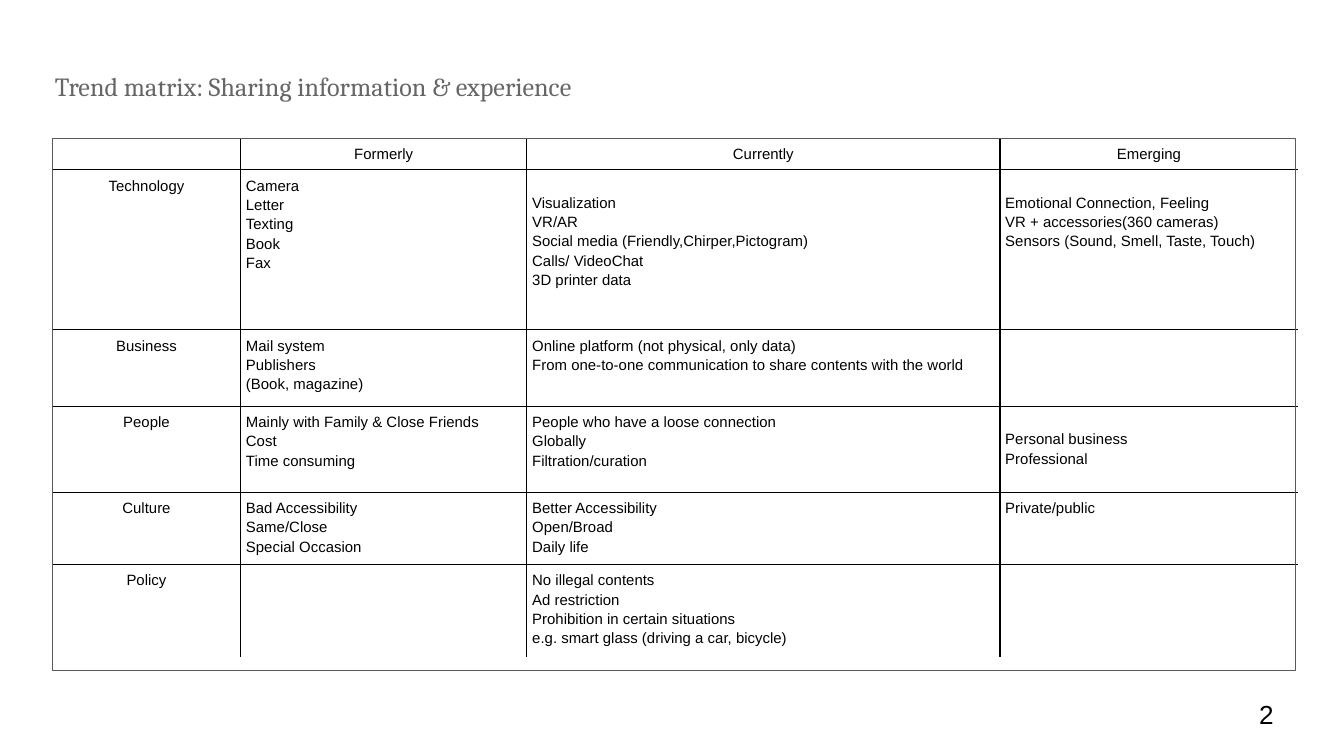
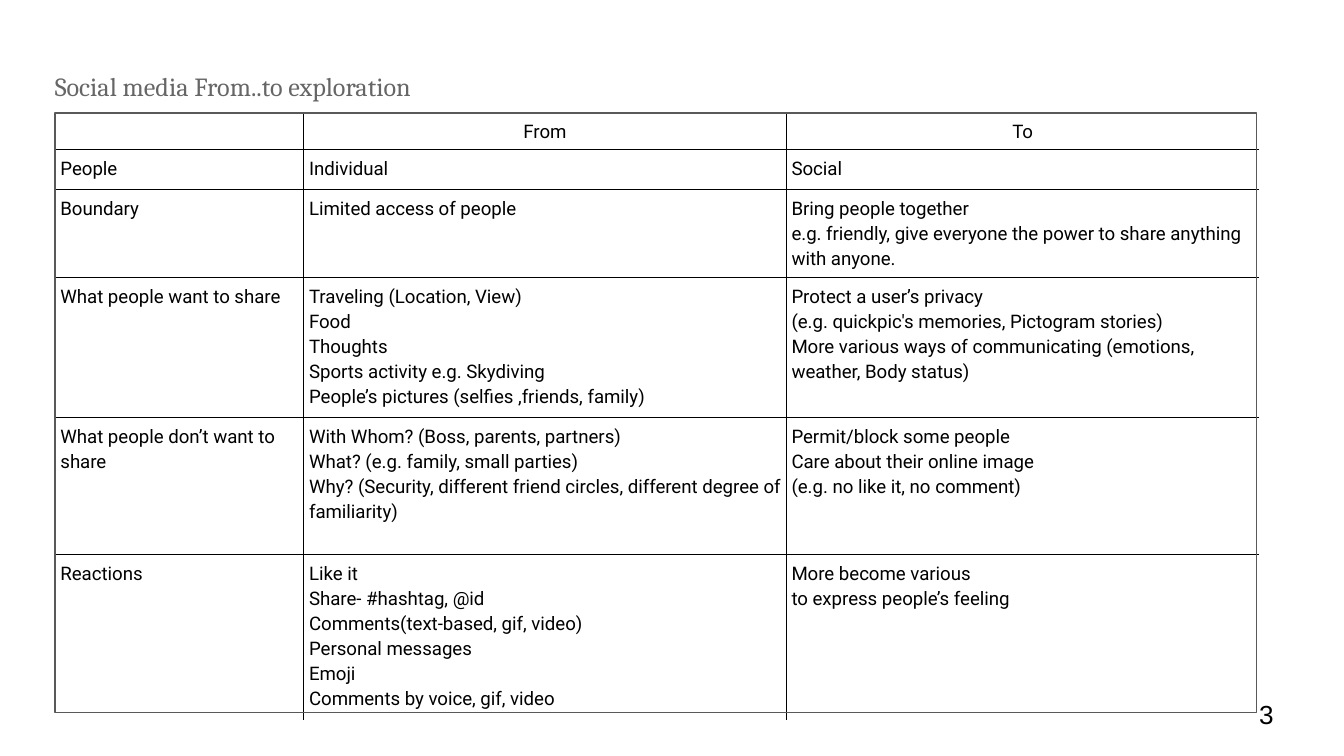
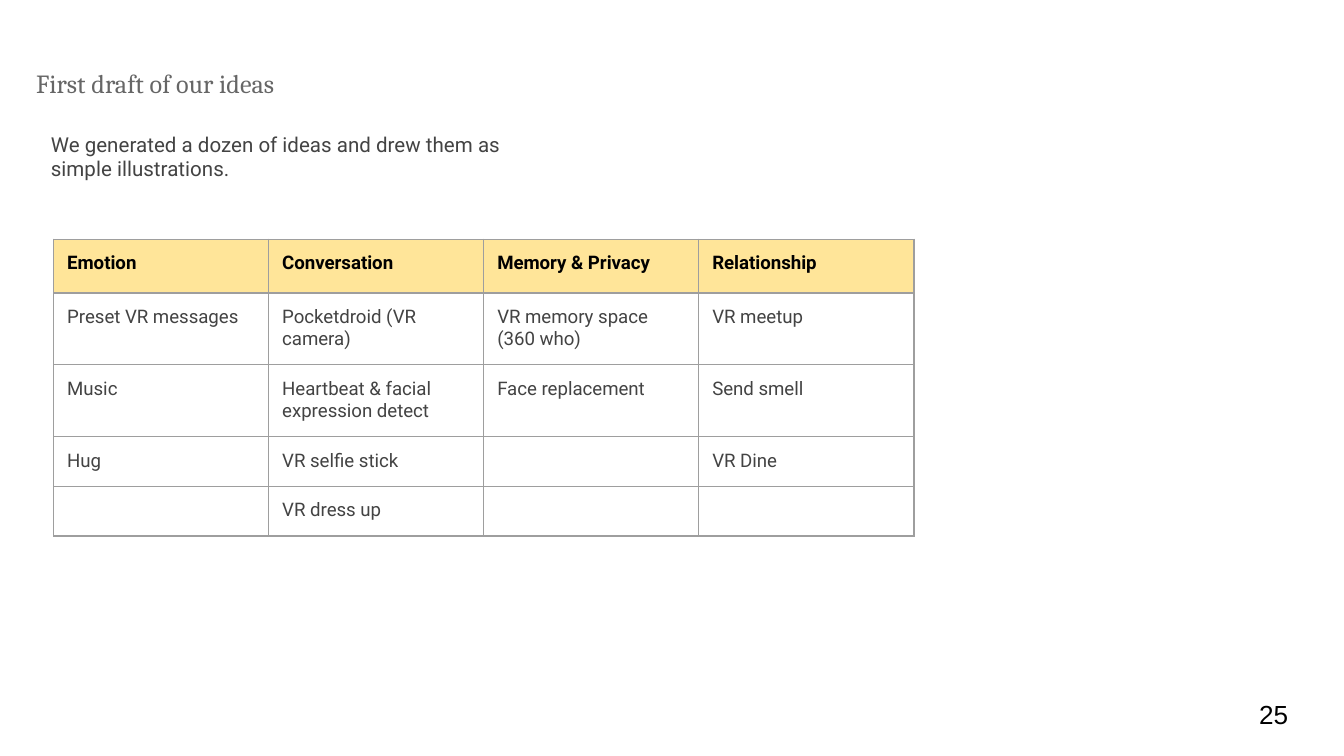
from pptx import Presentation
from pptx import util as u
from pptx.dml.color import RGBColor
from pptx.enum import shapes, text
from pptx.oxml import parse_xml
from pptx.oxml import ns

BLACK = RGBColor(0x00, 0x00, 0x00)
TITLE_GRAY = RGBColor(0x66, 0x66, 0x66)
BODY_GRAY = RGBColor(0x43, 0x43, 0x43)
FRAME_GRAY = RGBColor(0x59, 0x59, 0x59)
GRID_GRAY = RGBColor(0x9E, 0x9E, 0x9E)
HEADER_YELLOW = RGBColor(0xFF, 0xE5, 0x99)

# The grid: 100 columns across a 10-inch slide, rows of the same size
UNIT = u.Inches(0.1)
SLIDE_COLS, SLIDE_ROWS = 100, 56.25
LINE_PT = 0.75


def grid(n):
    return u.Emu(round(n * UNIT))


class Deck:
    """Shared style and the current slide; positions are in grid units."""

    def __init__(self):
        self.prs = Presentation()
        self.prs.slide_width = grid(SLIDE_COLS)
        self.prs.slide_height = grid(SLIDE_ROWS)
        self.s = None

    def slide(self, title, number, title_at=(3.1, 4.2, 62.4, 4.8)):
        self.s = self.prs.slides.add_slide(self.prs.slide_layouts[6])
        self.text(title, title_at, "Cambria", 14, TITLE_GRAY)
        self.text(number, (92.7, 51, 6, 4.3), "Arial", 14, BLACK,
                  anchor=text.MSO_ANCHOR.MIDDLE)

    def run(self, p, words, font, size, color, bold=False):
        r = p.add_run()
        r.text = words
        r.font.name, r.font.size = font, u.Pt(size)
        r.font.color.rgb, r.font.bold = color, bold

    def text(self, words, at, font, size, color, anchor=text.MSO_ANCHOR.TOP):
        tf = self.s.shapes.add_textbox(*map(grid, at)).text_frame
        tf.word_wrap = True
        tf.vertical_anchor = anchor
        tf.margin_left = tf.margin_right = tf.margin_top = tf.margin_bottom = grid(1)
        self.run(tf.paragraphs[0], words, font, size, color)

    def frame(self, at):
        sp = self.s.shapes.add_shape(shapes.MSO_SHAPE.RECTANGLE, *map(grid, at))
        sp.shadow.inherit = False
        sp.fill.background()
        sp.line.color.rgb, sp.line.width = FRAME_GRAY, u.Pt(LINE_PT)

    def border(self, cell, side, color):
        paint = (f'<a:solidFill><a:srgbClr val="{color}"/></a:solidFill>'
                 if color else "<a:noFill/>")
        cell._tc.get_or_add_tcPr().append(parse_xml(
            f'<a:ln{side} {ns.nsdecls("a")} w="{u.Pt(LINE_PT)}">{paint}</a:ln{side}>'))

    def table(self, left, top, widths, heights, rows, font, size, color=BLACK,
              margin=0.4, spacing=1.15, line=BLACK, outline=False,
              header_fill=None, centered_cols=(), header_centered=True, lowered=()):
        """Cells in `lowered` start one text line further down."""
        tbl = self.s.shapes.add_table(
            len(heights), len(widths),
            *map(grid, (left, top, sum(widths), sum(heights)))).table
        tbl.first_row = tbl.horz_banding = False
        for col, w in zip(tbl.columns, widths):
            col.width = grid(w)
        last_row, last_col = len(heights) - 1, len(widths) - 1
        for i, (row, h) in enumerate(zip(tbl.rows, heights)):
            row.height = grid(h)
            for j, cell in enumerate(row.cells):
                edges = {"L": j == 0, "R": j == last_col,
                         "T": i == 0, "B": i == last_row}
                for side, outer in edges.items():
                    self.border(cell, side, line if outline or not outer else None)
                header = header_fill is not None and i == 0
                if header:
                    cell.fill.solid()
                    cell.fill.fore_color.rgb = header_fill
                else:
                    cell.fill.background()
                cell.margin_left = cell.margin_right = cell.margin_bottom = grid(margin)
                cell.margin_top = grid(margin + (1.27 if (i, j) in lowered else 0))
                centered = j in centered_cols or (i == 0 and header_centered)
                tf = cell.text_frame
                for k, words in enumerate(rows[i][j].split("\n")):
                    p = tf.add_paragraph() if k else tf.paragraphs[0]
                    p.line_spacing = spacing
                    if centered:
                        p.alignment = text.PP_ALIGN.CENTER
                    if words:
                        self.run(p, words, font, size, BLACK if header else color, header)
                    else:
                        p._p.get_or_add_endParaRPr().set("sz", str(size * 100))


TRENDS = [
    ["", "Formerly", "Currently", "Emerging"],
    ["Technology",
     "Camera\nLetter\nTexting\nBook\nFax",
     "Visualization\nVR/AR\nSocial media (Friendly,Chirper,Pictogram)\n"
     "Calls/ VideoChat\n3D printer data",
     "Emotional Connection, Feeling\nVR + accessories(360 cameras)\n"
     "Sensors (Sound, Smell, Taste, Touch)"],
    ["Business",
     "Mail system\nPublishers\n(Book, magazine)",
     "Online platform (not physical, only data)\n"
     "From one-to-one communication to share contents with the world",
     ""],
    ["People",
     "Mainly with Family & Close Friends\nCost\nTime consuming",
     "People who have a loose connection\nGlobally\nFiltration/curation",
     "Personal business\nProfessional"],
    ["Culture",
     "Bad Accessibility\nSame/Close\nSpecial Occasion",
     "Better Accessibility\nOpen/Broad\nDaily life",
     "Private/public"],
    ["Policy",
     "",
     "No illegal contents\nAd restriction\nProhibition in certain situations\n"
     "e.g. smart glass (driving a car, bicycle)",
     ""],
]

FROM_TO = [
    ["", "From", "To"],
    ["People", "Individual", "Social"],
    ["Boundary",
     "Limited access of people",
     "Bring people together\n"
     "e.g. friendly, give everyone the power to share anything with anyone."],
    ["What people want to share",
     "Traveling (Location, View)\nFood\nThoughts\nSports activity e.g. Skydiving\n"
     "People’s pictures (selfies ,friends, family)",
     "Protect a user’s privacy\n(e.g. quickpic's memories, Pictogram stories)\n"
     "More various ways of communicating (emotions, weather, Body status)"],
    ["What people don’t want to share",
     "With Whom? (Boss, parents, partners)\nWhat? (e.g. family, small parties)\n"
     "Why? (Security, different friend circles, different degree of familiarity)",
     "Permit/block some people\nCare about their online image\n"
     "(e.g. no like it, no comment)"],
    ["Reactions",
     "Like it\nShare- #hashtag, @id\nComments(text-based, gif, video)\n"
     "Personal messages\nEmoji\nComments by voice, gif, video",
     "More become various\nto express people’s feeling"],
]

IDEAS = [
    ["Emotion", "Conversation", "Memory & Privacy", "Relationship"],
    ["Preset VR messages", "Pocketdroid (VR camera)",
     "VR memory space\n(360 who)", "VR meetup"],
    ["Music", "Heartbeat & facial expression detect", "Face replacement", "Send smell"],
    ["Hug", "VR selfie stick", "", "VR Dine"],
    ["", "VR dress up", "", ""],
]


def main():
    deck = Deck()

    # Trend matrix
    deck.slide("Trend matrix: Sharing information & experience", "2")
    deck.table(3.9, 10.3, [14, 21.3, 35.2, 22.2], [2.2, 11.9, 5.7, 6.4, 5.2, 6.7],
               TRENDS, "Arial", 8, centered_cols=(0,),
               lowered={(1, 2), (1, 3), (3, 3)})
    deck.frame((3.9, 10.3, 92.5, 39.6))

    # From..to exploration
    deck.slide("Social media From..to exploration", "3")
    deck.table(4.1, 8.4, [18.5, 35.9, 35.2], [2.7, 3, 6.4, 10.1, 10.2, 11.9],
               FROM_TO, "Roboto", 10)
    deck.frame((4.1, 8.4, 89.4, 44.6))

    # First draft of ideas
    deck.slide("First draft of our ideas", "25", title_at=(1.7, 4, 43.2, 4.8))
    deck.text("We generated a dozen of ideas and drew them as simple illustrations.",
              (2.8, 8.8, 38.2, 7.1), "Roboto", 11, BODY_GRAY)
    deck.table(4, 17.8, [16] * 4, [4, 5.2, 5.2, 3.7, 3.7], IDEAS, "Roboto", 10,
               BODY_GRAY, margin=1, spacing=1.0, line=GRID_GRAY, outline=True,
               header_fill=HEADER_YELLOW, header_centered=False)

    deck.prs.save("out.pptx")


if __name__ == "__main__":
    main()
